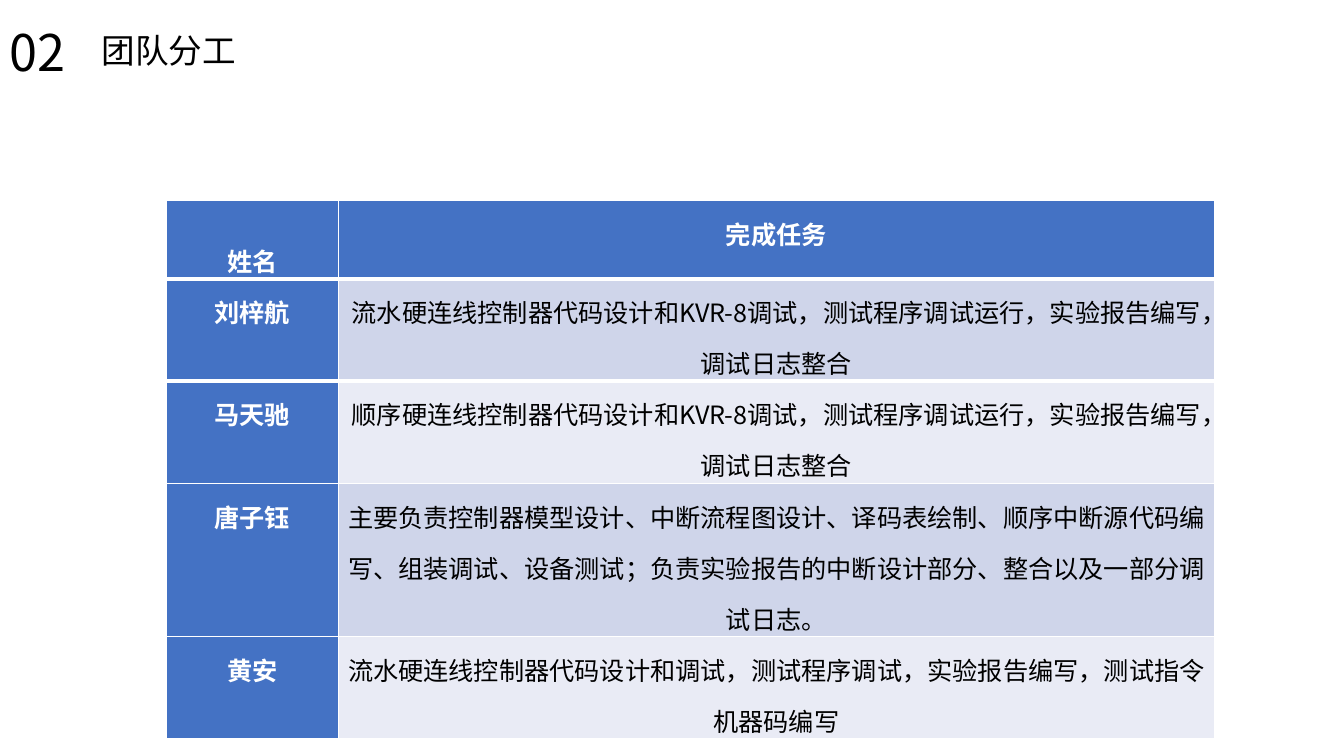
from dataclasses import dataclass

from lxml import etree
from pptx import Presentation
from pptx.dml.color import RGBColor
from pptx.enum.text import MSO_ANCHOR, MSO_AUTO_SIZE, PP_ALIGN
from pptx.oxml.ns import qn
from pptx.util import Cm, Pt

LEFT, CENTER = PP_ALIGN.LEFT, PP_ALIGN.CENTER
TOP, BOTTOM = MSO_ANCHOR.TOP, MSO_ANCHOR.BOTTOM
NO_AUTOFIT = MSO_AUTO_SIZE.NONE


@dataclass(frozen=True)
class Theme:
    font: str = "Noto Sans CJK SC"
    number: Pt = Pt(36)
    title: Pt = Pt(24)
    body: Pt = Pt(18)
    rule: Pt = Pt(3)
    black: RGBColor = RGBColor(0, 0, 0)
    white: RGBColor = RGBColor(0xFF, 0xFF, 0xFF)
    accent: RGBColor = RGBColor(0x44, 0x72, 0xC4)
    bands: tuple = (RGBColor(0xE9, 0xEB, 0xF5), RGBColor(0xCF, 0xD5, 0xEA))


THEME = Theme()


def write(tf, text, size, color, align, bold=False):
    p = tf.paragraphs[0]
    p.text = text
    p.alignment = align
    p.font.name = THEME.font
    p.font.size = size
    p.font.bold = bold
    p.font.color.rgb = color
    return p


def add_rule(cell, side):
    ln = etree.Element(qn(f"a:{side}"), w=str(THEME.rule))
    fill = etree.SubElement(ln, qn("a:solidFill"))
    etree.SubElement(fill, qn("a:srgbClr"), val=str(THEME.white))
    cell._tc.get_or_add_tcPr().insert(0, ln)


prs = Presentation()
prs.slide_width, prs.slide_height = Cm(33.87), Cm(19.05)
s = prs.slides.add_slide(prs.slide_layouts[5])

# Task table
ROWS = [
    ("姓名", "完成任务"),
    ("刘梓航", "流水硬连线控制器代码设计和KVR-8调试，测试程序调试运行，实验报告编写，调试日志整合"),
    ("马天驰", "顺序硬连线控制器代码设计和KVR-8调试，测试程序调试运行，实验报告编写，调试日志整合"),
    ("唐子钰", "主要负责控制器模型设计、中断流程图设计、译码表绘制、顺序中断源代码编写、"
               "组装调试、设备测试；负责实验报告的中断设计部分、整合以及一部分调试日志。"),
    ("黄安", "流水硬连线控制器代码设计和调试，测试程序调试，实验报告编写，测试指令机器码编写"),
]
COL_WIDTHS = (4.34, 22.07)
ROW_HEIGHTS = (1.98, 1.91, 1.91, 3.2, 1.91)

table = s.shapes.add_table(
    len(ROWS), len(COL_WIDTHS), Cm(4.19), Cm(5.05),
    Cm(sum(COL_WIDTHS)), Cm(sum(ROW_HEIGHTS))).table
table.first_col = True
for col, width in zip(table.columns, COL_WIDTHS):
    col.width = Cm(width)
for i, (row, height, texts) in enumerate(zip(table.rows, ROW_HEIGHTS, ROWS)):
    row.height = Cm(height)
    for j, (cell, text) in enumerate(zip(row.cells, texts)):
        heading = i == 0 or j == 0
        cell.margin_left = cell.margin_right = Cm(0.19)
        cell.margin_top = cell.margin_bottom = 0
        cell.vertical_anchor = BOTTOM if i == j == 0 else TOP
        cell.fill.solid()
        cell.fill.fore_color.rgb = THEME.accent if heading else THEME.bands[i % 2]
        p = write(cell.text_frame, text, THEME.body,
                  THEME.white if heading else THEME.black, CENTER, heading)
        p.line_spacing = 1.4

# Thick rule under the header row
for header, below in zip(table.rows[0].cells, table.rows[1].cells):
    add_rule(header, "lnB")
    add_rule(below, "lnT")

# Section number
number = s.shapes.add_textbox(Cm(0), Cm(0.41), Cm(2.82), Cm(1.8))
number.text_frame.word_wrap = True
write(number.text_frame, "02", THEME.number, THEME.black, LEFT)

# Slide title
title = s.shapes.title
title.left, title.top, title.width, title.height = Cm(2.31), Cm(0.63), Cm(9.53), Cm(1.27)
tf = title.text_frame
tf.auto_size = NO_AUTOFIT
tf.vertical_anchor = TOP
write(tf, "团队分工", THEME.title, THEME.black, LEFT)

prs.save("out.pptx")
